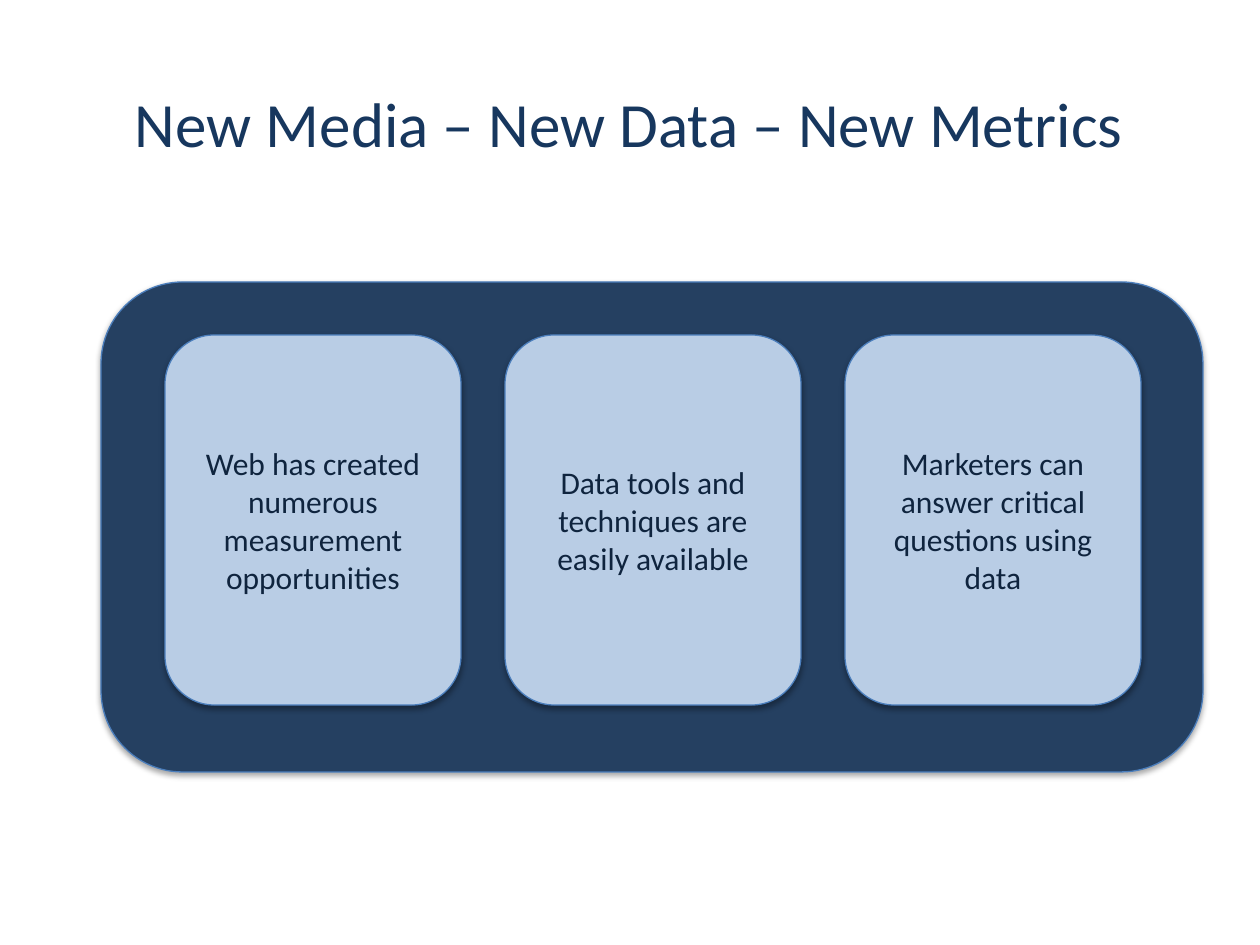
from lxml import etree
from pptx import Presentation
from pptx import util as u
from pptx.dml.color import RGBColor
from pptx.enum import shapes, text
from pptx.oxml import ns

PX = 914400 / 126
NAVY = RGBColor(0x25, 0x40, 0x61)
PALE = RGBColor(0xB9, 0xCD, 0xE5)
EDGE = RGBColor(0x4B, 0x7E, 0xBC)
TITLE = RGBColor(0x17, 0x37, 0x5E)
INK = RGBColor(0x0F, 0x24, 0x3E)


def add_panel(box, fill):
    """Add a rounded panel with a thin edge and a soft shadow below it."""
    sp = s.shapes.add_shape(shapes.MSO_SHAPE.ROUNDED_RECTANGLE,
                            *[round(v * PX) for v in box])
    sp.fill.solid()
    sp.fill.fore_color.rgb = fill
    sp.line.color.rgb = EDGE
    sp.line.width = u.Pt(0.75)
    sp.shadow.inherit = False
    effects = sp._element.spPr.find(ns.qn("a:effectLst"))
    shadow = etree.SubElement(effects, ns.qn("a:outerShdw"), blurRad="40000",
                              dist="23000", dir="5400000", rotWithShape="0")
    color = etree.SubElement(shadow, ns.qn("a:srgbClr"), val="000000")
    etree.SubElement(color, ns.qn("a:alpha"), val="35000")
    return sp


def write(sp, words, size, color):
    """Write one centred paragraph in the middle of a shape."""
    tf = sp.text_frame
    tf.word_wrap = True
    tf.vertical_anchor = text.MSO_ANCHOR.MIDDLE
    p = tf.paragraphs[0]
    p.alignment = text.PP_ALIGN.CENTER
    r = p.add_run()
    r.text = words
    r.font.name = "Calibri"
    r.font.size = u.Pt(size)
    r.font.color.rgb = color


prs = Presentation()
prs.slide_width = round(1260 * PX)
prs.slide_height = round(945 * PX)
s = prs.slides.add_slide(prs.slide_layouts[6])

add_panel((101, 282, 1102, 490), NAVY)

cards = [
    "Web has created numerous measurement opportunities",
    "Data tools and techniques are easily available",
    "Marketers can answer critical questions using data",
]
for i, words in enumerate(cards):
    card = add_panel((165 + 340 * i, 335, 296, 370), PALE)
    write(card, words, 18, INK)

title = s.shapes.add_textbox(*[round(v * PX) for v in (54, 52, 1150, 141)])
tf = title.text_frame
tf.margin_left = tf.margin_right = round(16 * PX)
tf.margin_top = tf.margin_bottom = round(9 * PX)
write(title, "New Media \u2013 New Data \u2013 New Metrics", 36, TITLE)

prs.save("out.pptx")
